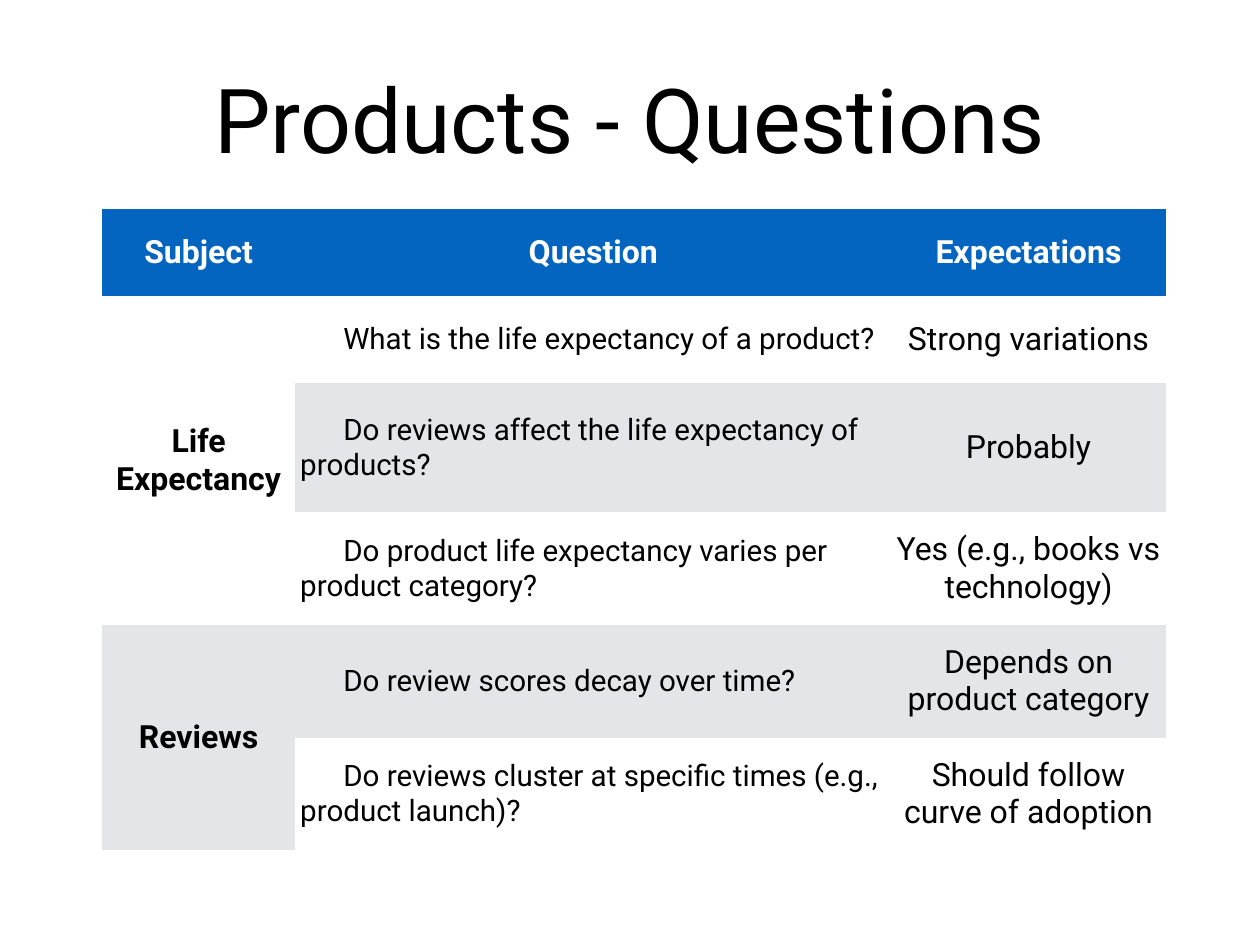
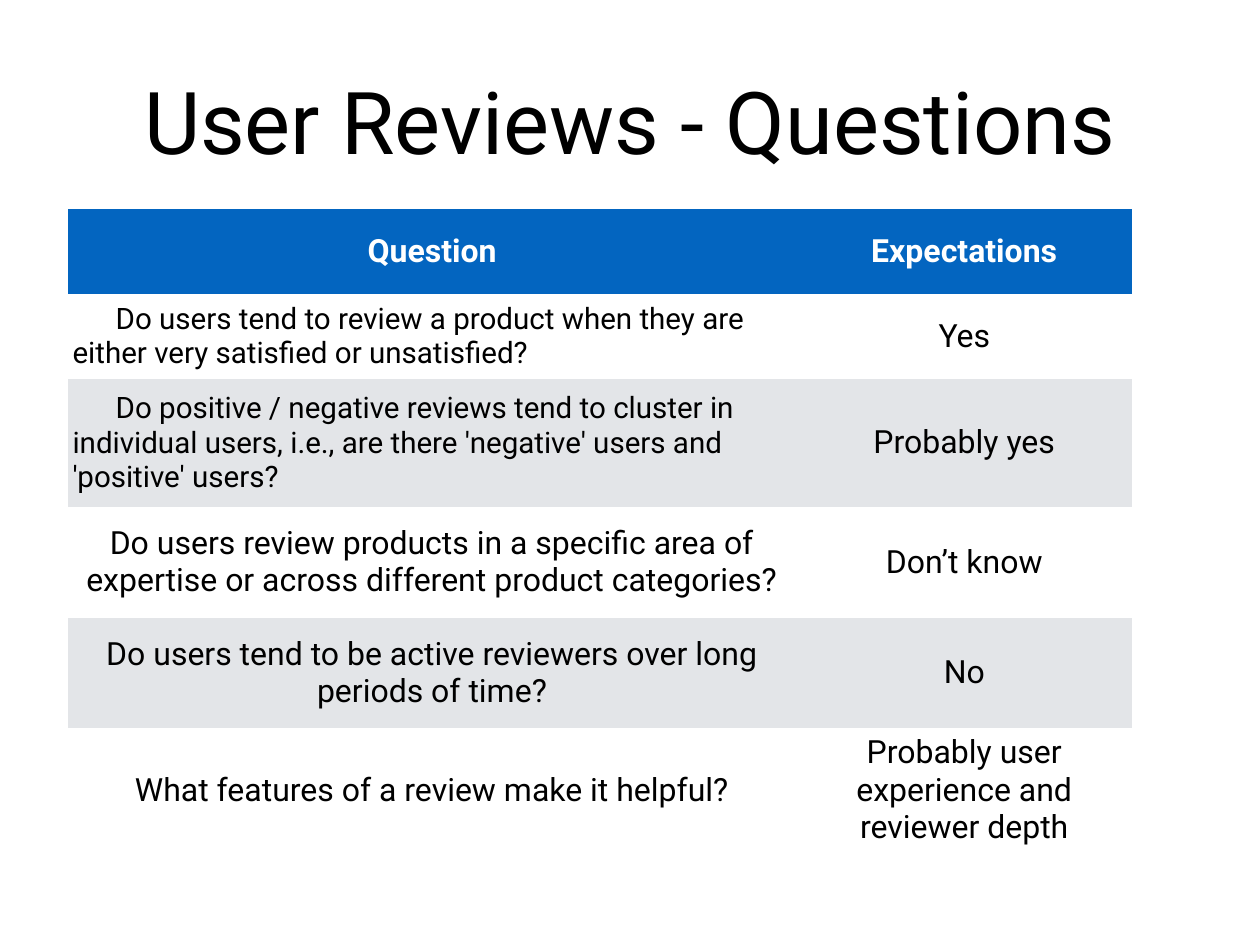
from dataclasses import dataclass

from pptx import Presentation
from pptx.dml.color import RGBColor as Color
from pptx.enum.text import MSO_ANCHOR as Anchor, MSO_AUTO_SIZE as AutoSize, PP_ALIGN as Align
from pptx.util import Pt


@dataclass(frozen=True)
class Theme:
    font: str = "Roboto"
    ink: str = "000000"
    paper: str = "FFFFFF"
    header: str = "0365C0"
    band: str = "E3E5E8"
    cell_size: float = 26
    question_size: float = 24
    question_indent: float = 35
    question_space: float = 32
    cell_margin: float = 4
    plain_table: str = "{2D5ABB26-0587-4C30-8999-92F81FD0307C}"


def write(frame, text, *, font, size, color, bold=False, align=Align.CENTER, indent=0, before=0):
    paragraph = frame.paragraphs[0]
    paragraph.alignment = align
    if indent:
        paragraph.level = 1
        properties = paragraph._p.get_or_add_pPr()
        properties.set("marL", "0")
        properties.set("indent", str(Pt(indent)))
    if before:
        paragraph.space_before = Pt(before)
    run = paragraph.add_run()
    run.text = text
    run.font.name = font
    run.font.size = Pt(size)
    run.font.bold = bold
    run.font.color.rgb = Color.from_string(color)


class Deck:
    """Build question slides in one shared style."""

    def __init__(self, theme, width, height):
        self.theme = theme
        self.slide = None
        self.show = Presentation()
        self.show.slide_width, self.show.slide_height = Pt(width), Pt(height)

    def add_slide(self, title, size):
        self.slide = self.show.slides.add_slide(self.show.slide_layouts[5])
        heading = self.slide.shapes.title
        heading.left, heading.top, heading.width, heading.height = Pt(100), Pt(43), Pt(824), Pt(96.5)
        frame = heading.text_frame
        frame.margin_left = frame.margin_right = frame.margin_top = frame.margin_bottom = 0
        frame.vertical_anchor = Anchor.BOTTOM
        frame.auto_size = AutoSize.NONE
        frame.word_wrap = True
        write(frame, title, font=self.theme.font, size=size, color=self.theme.ink)

    def add_cell(self, cell, text, fill, **style):
        cell.fill.solid()
        cell.fill.fore_color.rgb = Color.from_string(fill)
        cell.vertical_anchor = Anchor.MIDDLE
        margin = Pt(self.theme.cell_margin)
        cell.margin_left = cell.margin_right = cell.margin_top = cell.margin_bottom = margin
        if text:
            defaults = {"font": self.theme.font, "size": self.theme.cell_size, "color": self.theme.ink}
            write(cell.text_frame, text, **{**defaults, **style})

    def cell_style(self, row, heading, indented):
        theme = self.theme
        if row == 0:
            return {"color": theme.paper, "bold": True}
        if heading == "Subject":
            return {"bold": True}
        if heading == "Question" and row <= indented:
            return {"size": theme.question_size, "align": Align.LEFT,
                    "indent": theme.question_indent, "before": theme.question_space}
        return {}

    def add_table(self, left, widths, heights, rows, indented, merges=()):
        theme = self.theme
        table = self.slide.shapes.add_table(
            len(rows), len(widths), Pt(left), Pt(170), Pt(sum(widths)), Pt(sum(heights))).table
        table._tbl.tblPr[0].text = theme.plain_table
        for column, width in zip(table.columns, widths):
            column.width = Pt(width)
        for row, height in zip(table.rows, heights):
            row.height = Pt(height)
        for first, last in merges:
            table.cell(first, 0).merge(table.cell(last, 0))
        for r, texts in enumerate(rows):
            fill = theme.header if r == 0 else theme.paper if r % 2 else theme.band
            for c, text in enumerate(texts):
                self.add_cell(table.cell(r, c), text, fill, **self.cell_style(r, rows[0][c], indented))


PRODUCTS = [
    ("Subject", "Question", "Expectations"),
    ("Life Expectancy", "What is the life expectancy of a product?", "Strong variations"),
    ("", "Do reviews affect the life expectancy of products?", "Probably"),
    ("", "Do product life expectancy varies per product category?", "Yes (e.g., books vs technology)"),
    ("Reviews", "Do review scores decay over time?", "Depends on product category"),
    ("", "Do reviews cluster at specific times (e.g., product launch)?", "Should follow curve of adoption"),
]

USER_REVIEWS = [
    ("Question", "Expectations"),
    ("Do users tend to review a product when they are either very satisfied or unsatisfied?", "Yes"),
    ("Do positive / negative reviews tend to cluster in individual users, i.e., "
     "are there 'negative' users and 'positive' users?", "Probably yes"),
    ("Do users review products in a specific area of expertise or across different product categories?",
     "Don’t know"),
    ("Do users tend to be active reviewers over long periods of time?", "No"),
    ("What features of a review make it helpful?", "Probably user experience and reviewer depth"),
]


def main():
    deck = Deck(Theme(), 1024, 768)
    deck.add_slide("Products - Questions", 72.8)
    deck.add_table(83, [157, 484.5, 223], [70.5, 70.5, 105.5, 91.5, 91.5, 91.5], PRODUCTS,
                   indented=5, merges=[(1, 3), (4, 5)])
    deck.add_slide("User Reviews - Questions", 70.4)
    deck.add_table(55, [592.5, 272.5], [69, 69, 104, 90, 90, 101], USER_REVIEWS, indented=2)
    deck.show.save("out.pptx")


if __name__ == "__main__":
    main()
